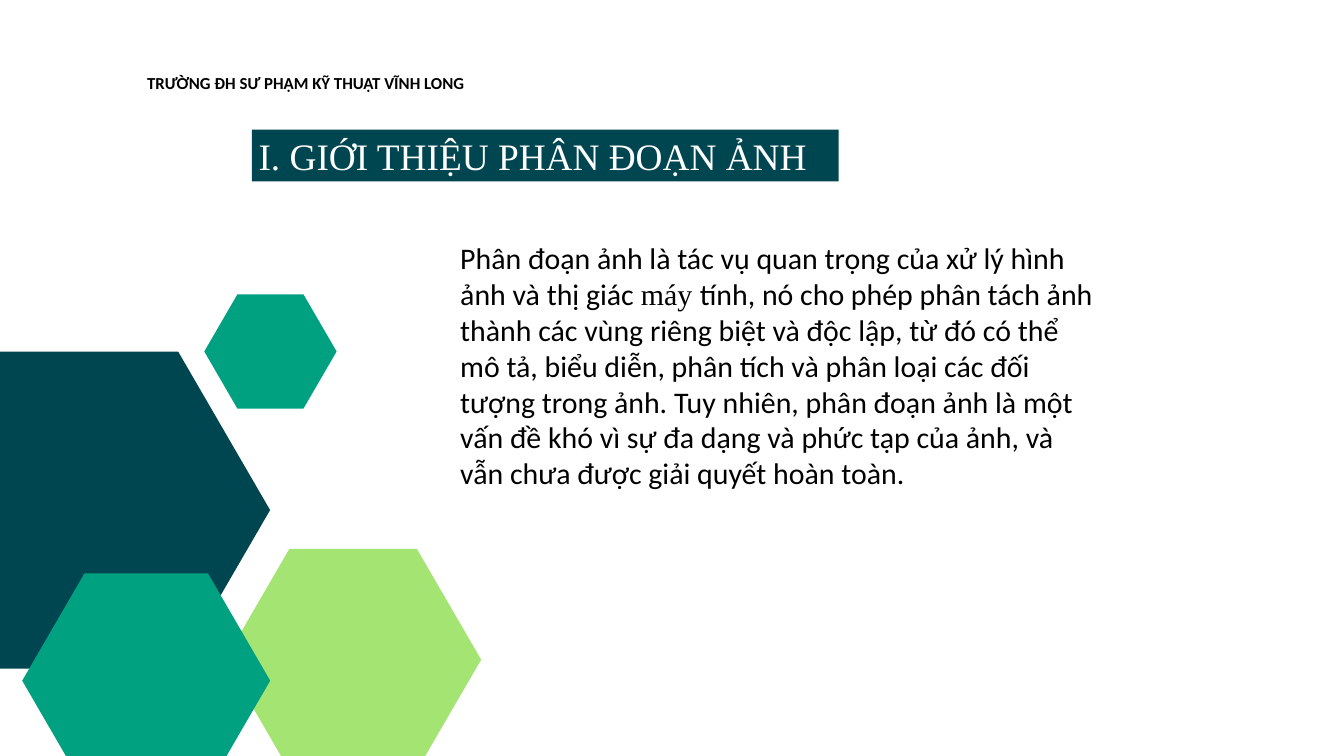
from pptx import Presentation
from pptx.dml.color import RGBColor
from pptx.enum.shapes import MSO_SHAPE
from pptx.enum.text import MSO_ANCHOR, PP_ALIGN
from pptx.util import Pt

COLORS = {
    "teal": "004651",
    "green": "00A181",
    "lime": "A4E473",
    "black": "000000",
    "white": "FFFFFF",
}

presentation = Presentation()
presentation.slide_width = Pt(1440)
presentation.slide_height = Pt(810)
slide = presentation.slides.add_slide(presentation.slide_layouts[6])


def add_filled_shape(kind, left, top, width, height, color):
    shape = slide.shapes.add_shape(kind, Pt(left), Pt(top), Pt(width), Pt(height))
    shape.shadow.inherit = False
    shape.fill.solid()
    shape.fill.fore_color.rgb = RGBColor.from_string(COLORS[color])
    shape.line.fill.background()
    return shape


def write_text(shape, *runs, size, color="black", bold=False, wrap=True, anchor=MSO_ANCHOR.TOP):
    """Each run is a pair of text and font name."""
    frame = shape.text_frame
    frame.word_wrap = wrap
    frame.vertical_anchor = anchor
    paragraph = frame.paragraphs[0]
    paragraph.alignment = PP_ALIGN.LEFT
    for text, font_name in runs:
        run = paragraph.add_run()
        run.text = text
        run.font.name = font_name
        run.font.size = Pt(size)
        run.font.bold = bold
        run.font.color.rgb = RGBColor.from_string(COLORS[color])


# Hexagons, from back to front
hexagons = [
    (-103, 376.6, 392.4, 339.8, "teal"),
    (241.2, 588.2, 274.3, 237.2, "lime"),
    (218.9, 315.4, 141.8, 122.4, "green"),
    (23.8, 614.2, 265.7, 230.2, "green"),
]
for left, top, width, height, color in hexagons:
    hexagon = add_filled_shape(MSO_SHAPE.HEXAGON, left, top, width, height, color)
    hexagon.adjustments[0] = 0.29

# School name
school = slide.shapes.add_textbox(Pt(150.5), Pt(74.2), Pt(358.6), Pt(28.8))
write_text(school, ("TRƯỜNG ĐH SƯ PHẠM KỸ THUẬT VĨNH LONG", "Calibri"),
           size=18, bold=True, wrap=False)

# Title bar
title = add_filled_shape(MSO_SHAPE.RECTANGLE, 270, 139, 628.6, 55.4, "teal")
write_text(title, ("I. GIỚI THIỆU PHÂN ĐOẠN ẢNH", "Times New Roman"),
           size=40, color="white", anchor=MSO_ANCHOR.MIDDLE)

# Introduction
introduction = slide.shapes.add_textbox(Pt(486), Pt(253.4), Pt(702), Pt(278.6))
write_text(
    introduction,
    ("Phân đoạn ảnh là tác vụ quan trọng của xử lý hình ảnh và thị giác ", "Calibri"),
    ("máy ", "Times New Roman"),
    ("tính, nó cho phép phân tách ảnh thành các vùng riêng biệt và độc lập, "
     "từ đó có thể mô tả, biểu diễn, phân tích và phân loại các đối tượng trong ảnh. "
     "Tuy nhiên, phân đoạn ảnh là một vấn đề khó vì sự đa dạng và phức tạp của ảnh, "
     "và vẫn chưa được giải quyết hoàn toàn.", "Calibri"),
    size=32,
)

presentation.save("out.pptx")
